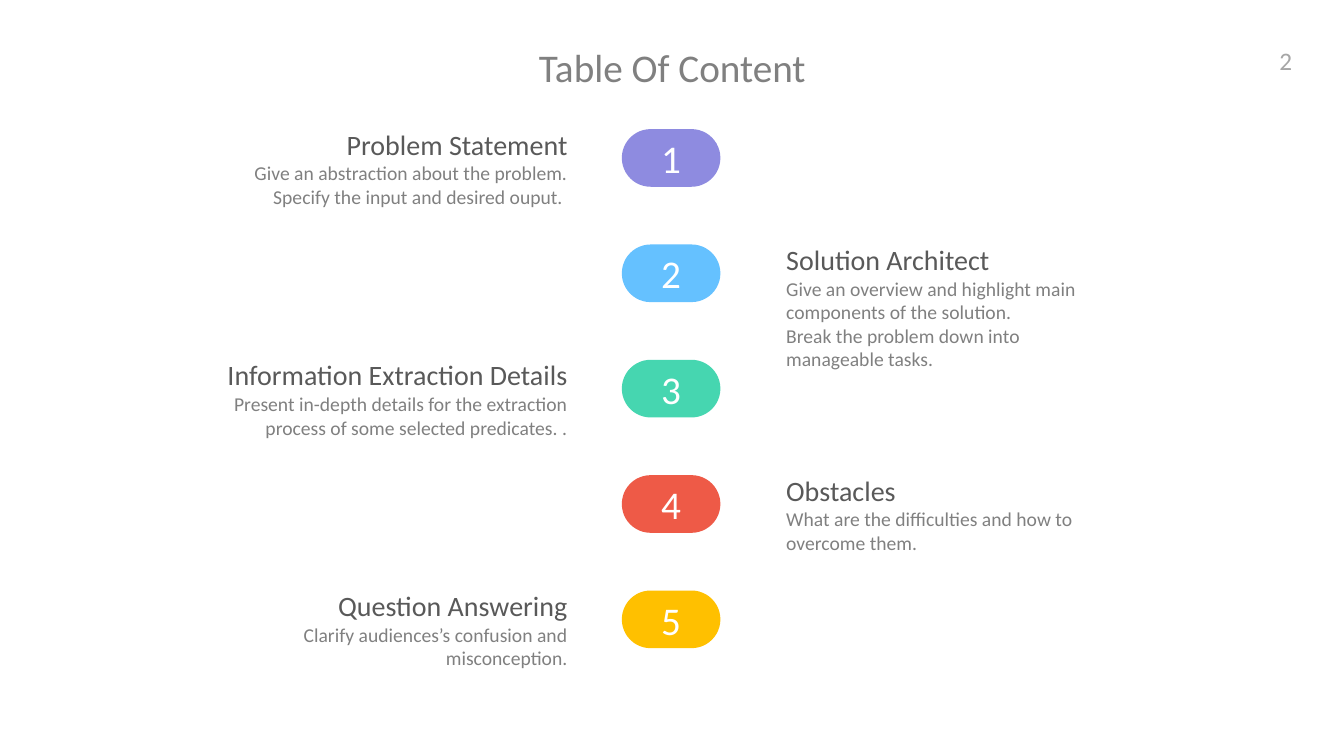
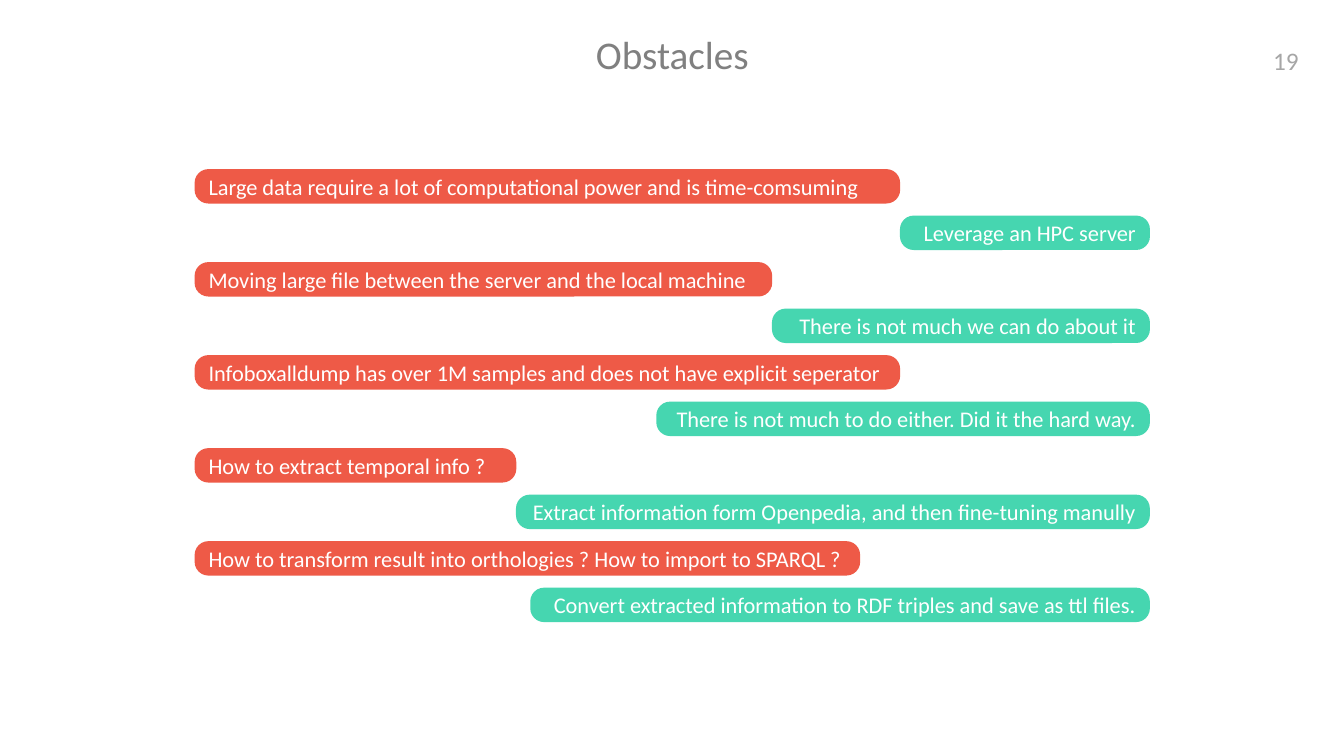
from pptx import Presentation
from pptx.dml.color import RGBColor
from pptx.enum.shapes import MSO_SHAPE
from pptx.enum.text import MSO_ANCHOR, MSO_AUTO_SIZE, PP_ALIGN
from pptx.util import Pt

LEFT, CENTER, RIGHT = PP_ALIGN.LEFT, PP_ALIGN.CENTER, PP_ALIGN.RIGHT
TOP, MIDDLE = MSO_ANCHOR.TOP, MSO_ANCHOR.MIDDLE
ROUNDED = MSO_SHAPE.ROUNDED_RECTANGLE
NO_AUTOFIT = MSO_AUTO_SIZE.NONE
TITLE_ONLY = 5

FONT = "Calibri"
WHITE = RGBColor(0xFF, 0xFF, 0xFF)
GRAY = RGBColor(0x80, 0x80, 0x80)
DARK_GRAY = RGBColor(0x59, 0x59, 0x59)
LIGHT_GRAY = RGBColor(0xA6, 0xA6, 0xA6)
PURPLE = RGBColor(0x8E, 0x8B, 0xE0)
BLUE = RGBColor(0x65, 0xC1, 0xFF)
GREEN = RGBColor(0x46, 0xD6, 0xB0)
RED = RGBColor(0xEE, 0x5A, 0x47)
YELLOW = RGBColor(0xFF, 0xC0, 0x00)

CONTENT_LEFT, CONTENT_RIGHT = 139, 821.4

TOPICS = [
    ("Problem Statement", PURPLE,
     ["Give an abstraction about the problem. Specify the input and desired ouput. "]),
    ("Solution Architect", BLUE,
     ["Give an overview and highlight main components of the solution.",
      "Break the problem down into manageable tasks."]),
    ("Information Extraction Details", GREEN,
     ["Present in-depth details for the extraction process of some selected predicates. ."]),
    ("Obstacles", RED,
     ["What are the difficulties and how to overcome them."]),
    ("Question Answering", YELLOW,
     ["Clarify audiences’s confusion and misconception."]),
]

OBSTACLES = [
    ("Large data require a lot of computational power and is time-comsuming", 504,
     "Leverage an HPC server", 178.6),
    ("Moving large file between the server and the local machine", 412.6,
     "There is not much we can do about it", 270),
    ("Infoboxalldump has over 1M samples and does not have explicit seperator", 504,
     "There is not much to do either. Did it the hard way.", 352.6),
    ("How to extract temporal info ?", 229.8,
     "Extract information form Openpedia, and then fine-tuning manully", 452.8),
    ("How to transform result into orthologies ? How to import to SPARQL ?", 475.4,
     "Convert extracted information to RDF triples and save as ttl files.", 442.6),
]


def write(tf, text, size, color, align, anchor=TOP, spacing=None):
    tf.text = text
    tf.word_wrap = True
    tf.auto_size = NO_AUTOFIT
    tf.vertical_anchor = anchor
    for p in tf.paragraphs:
        p.alignment = align
        p.line_spacing = spacing
        for r in p.runs:
            r.font.name = FONT
            r.font.size = Pt(size)
            r.font.color.rgb = color


def add_text(s, x, y, w, h, *style, inset=True, **options):
    tf = s.shapes.add_textbox(Pt(x), Pt(y), Pt(w), Pt(h)).text_frame
    if not inset:
        tf.margin_left = tf.margin_top = tf.margin_right = tf.margin_bottom = 0
    write(tf, *style, **options)


def add_pill(s, x, y, w, h, radius, fill, text, size, align):
    sp = s.shapes.add_shape(ROUNDED, Pt(x), Pt(y), Pt(w), Pt(h))
    sp.adjustments[0] = radius
    sp.shadow.inherit = False
    sp.fill.solid()
    sp.fill.fore_color.rgb = fill
    sp.line.fill.background()
    write(sp.text_frame, text, size, WHITE, align, MIDDLE)


def add_slide(prs, title, title_top, number):
    s = prs.slides.add_slide(prs.slide_layouts[TITLE_ONLY])
    sp = s.shapes.title
    sp.left, sp.top = Pt(CONTENT_LEFT), Pt(title_top)
    sp.width, sp.height = Pt(CONTENT_RIGHT - CONTENT_LEFT), Pt(31.7)
    write(sp.text_frame, title, 28, GRAY, CENTER, spacing=0.9)
    add_text(s, 898, 28.8, 41, 29, str(number), 18, LIGHT_GRAY, CENTER)
    return s


def add_topic(s, index, heading, color, lines):
    y = 92.2 + 82.4 * index
    if index % 2 == 0:
        x, w, align = 155.4, 250, RIGHT
    else:
        x, w, align = 561.6, 233.3, LEFT
    add_pill(s, 444.2, y, 70.4, 41.2, 0.5, color, str(index + 1), 28, CENTER)
    add_text(s, x, y + 1.1, w, 22, heading, 20, DARK_GRAY, align,
             anchor=MIDDLE, spacing=0.9, inset=False)
    add_text(s, x, y + 23, w, 17 * (len(lines) * 2), "\n".join(lines), 14, GRAY, align,
             inset=False)


def add_bar(s, row, x, w, fill, text, align):
    add_pill(s, x, 120.8 + 33.22 * row, w, 24.6, 0.4, fill, text, 16, align)


def build_contents(prs):
    s = add_slide(prs, "Table Of Content", 31, 2)
    for i, topic in enumerate(TOPICS):
        add_topic(s, i, *topic)


def build_obstacles(prs):
    s = add_slide(prs, "Obstacles", 21.8, 19)
    for i, (problem, problem_w, answer, answer_w) in enumerate(OBSTACLES):
        add_bar(s, 2 * i, CONTENT_LEFT, problem_w, RED, problem, LEFT)
        add_bar(s, 2 * i + 1, CONTENT_RIGHT - answer_w, answer_w, GREEN, answer, RIGHT)


def main():
    prs = Presentation()
    prs.slide_width, prs.slide_height = Pt(960), Pt(540)
    build_contents(prs)
    build_obstacles(prs)
    prs.save("out.pptx")


if __name__ == "__main__":
    main()
